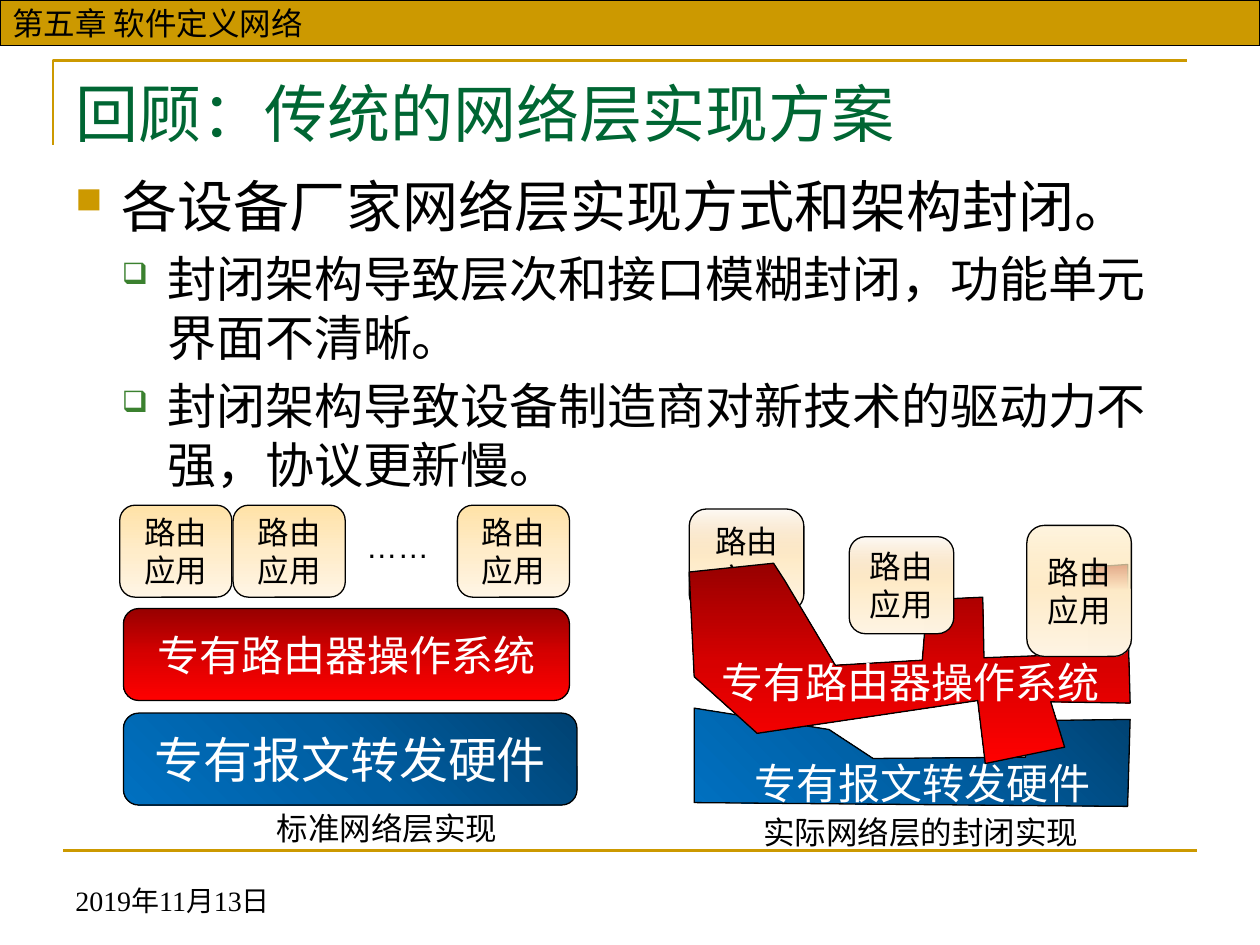
from lxml import etree
from pptx import Presentation, util as u
from pptx.dml.color import RGBColor
from pptx.enum import shapes, text
from pptx.oxml import parse_xml
from pptx.oxml.ns import nsdecls, qn

# Lengths are cells of a grid with 100 columns and 75 rows.
COLUMNS, ROWS = 100, 75
CELL = u.Inches(0.1)
GOLD, GREEN, BLACK, WHITE = "CC9900", "006633", "000000", "FFFFFF"

# Gradients: angle, then (position, colour, opacity) stops, all in percent.
CREAM = [(50, "FFECC9", 100), (100, "FFF5E5", 100)]
APP = (90, [(0, "FFE2A7", 100)] + CREAM)
CLEAR_APP = (90, [(0, "F1C386", 6)] + CREAM)
HALF_CLEAR_APP = (90, [(0, "FFE2A7", 34)] + CREAM)
SYSTEM = (90, [(0, "970000", 100), (50, "D70000", 100), (100, "FF0000", 100)])
HARDWARE = (135, [(0, "004272", 100), (50, "005EA2", 100), (100, "0070C0", 100)])

APP_LABEL = "路由应用"
SYSTEM_LABEL = "专有路由器操作系统"
HARDWARE_LABEL = "专有报文转发硬件"
LEFT, CENTER = text.PP_ALIGN.LEFT, text.PP_ALIGN.CENTER
TOP, MIDDLE, BOTTOM = (text.MSO_ANCHOR.TOP, text.MSO_ANCHOR.MIDDLE,
                       text.MSO_ANCHOR.BOTTOM)


def color(value):
    return RGBColor.from_string(value)


def cells(*values):
    return [round(value * CELL) for value in values]


def inside(box, left, top, width, height):
    """Turn a place within a box into a place on the slide."""
    return box[0] + left, box[1] + top, width, height


def set_line(shape, value, width):
    shape.line.color.rgb = color(value)
    shape.line.width = u.Pt(width)


def set_gradient(shape, gradient):
    angle, stops = gradient
    shape.fill.gradient()
    stop_xml = "".join(
        f'<a:gs pos="{position * 1000}"><a:srgbClr val="{value}">'
        f'<a:alpha val="{opacity * 1000}"/></a:srgbClr></a:gs>'
        for position, value, opacity in stops)
    properties = shape._element.spPr
    properties.replace(properties.find(qn("a:gradFill")), parse_xml(
        f'<a:gradFill rotWithShape="1" {nsdecls("a")}><a:gsLst>{stop_xml}</a:gsLst>'
        f'<a:lin ang="{angle * 60000}" scaled="0"/></a:gradFill>'))


def style_paragraph(paragraph, size, value, font="Arial", align=LEFT):
    paragraph.alignment = align
    for run in paragraph.runs:
        run.font.size = u.Pt(size)
        run.font.name = font
        run.font.color.rgb = color(value)


def write(shape, words, size, value=BLACK, font="Arial", align=CENTER,
          anchor=MIDDLE, wrap=True):
    frame = shape.text_frame
    frame.text = words
    frame.word_wrap = wrap
    frame.vertical_anchor = anchor
    style_paragraph(frame.paragraphs[0], size, value, font, align)


def add_label(slide, box, words, size, value=BLACK, **options):
    label = slide.shapes.add_textbox(*cells(*box))
    write(label, words, size, value, **{"anchor": TOP, "wrap": False, **options})


def add_block(slide, box, words, size, gradient, value=BLACK):
    block = slide.shapes.add_shape(shapes.MSO_SHAPE.ROUNDED_RECTANGLE, *cells(*box))
    block.shadow.inherit = False
    set_gradient(block, gradient)
    set_line(block, BLACK, 0.75)
    write(block, words, size, value)


def add_outline(slide, box, points, close=True):
    """Draw a freeform through points given from the box's corner."""
    places = [cells(box[0] + x, box[1] + y) for x, y in points]
    builder = slide.shapes.build_freeform(*places[0], scale=1.0)
    builder.add_line_segments(places[1:], close=close)
    outline = builder.convert_to_shape()
    outline.shadow.inherit = False
    return outline


def add_polygon(slide, box, points, gradient):
    polygon = add_outline(slide, box, points)
    set_gradient(polygon, gradient)
    set_line(polygon, BLACK, 0.75)


def add_frame(slide, box):
    """Draw the chapter bar, the corner rule and the bottom rule."""
    corner = add_outline(slide, inside(box, 4.2, 4.8, 90, 6.7),
                         [(0, 6.7), (0, 0), (90, 0)], close=False)
    corner.fill.background()
    set_line(corner, GOLD, 1.5)

    left, top, right, bottom = cells(box[0] + 5, box[1] + 67.5,
                                     box[0] + box[2] - 5, box[1] + 67.5)
    rule = slide.shapes.add_connector(shapes.MSO_CONNECTOR.STRAIGHT,
                                      left, top, right, bottom)
    set_line(rule, GOLD, 1.5)
    etree.SubElement(rule._element.spPr, qn("a:effectLst"))

    bar = slide.shapes.add_shape(shapes.MSO_SHAPE.RECTANGLE,
                                 *cells(*inside(box, 0, 0, box[2], 3.6)))
    bar.shadow.inherit = False
    bar.fill.solid()
    bar.fill.fore_color.rgb = color(GOLD)
    set_line(bar, BLACK, 0.75)
    write(bar, "第五章 软件定义网络", 18, align=LEFT, wrap=False)


def add_bullet(paragraph, character, value, percent, margin, indent):
    properties = paragraph._p.get_or_add_pPr()
    properties.set("marL", str(u.Inches(margin)))
    properties.set("indent", str(-u.Inches(indent)))
    for xml in (f'<a:buClr {nsdecls("a")}><a:srgbClr val="{value}"/></a:buClr>',
                f'<a:buSzPct {nsdecls("a")} val="{percent * 1000}"/>',
                f'<a:buChar {nsdecls("a")} char="{character}"/>'):
        properties.append(parse_xml(xml))


def add_body(slide, box):
    main = (32, ("■", GOLD, 65, 0.37, 0.37))
    detail = (28, ("❑", "3B812F", 60, 0.73, 0.36))
    points = [("各设备厂家网络层实现方式和架构封闭。", main),
              ("封闭架构导致层次和接口模糊封闭，功能单元界面不清晰。", detail),
              ("封闭架构导致设备制造商对新技术的驱动力不强，协议更新慢。", detail)]
    frame = slide.shapes.add_textbox(*cells(*box)).text_frame
    frame.word_wrap = True
    frame.text = "\n".join(words for words, _ in points)
    for index, (paragraph, (_, (size, bullet))) in enumerate(
            zip(frame.paragraphs, points)):
        add_bullet(paragraph, *bullet)
        style_paragraph(paragraph, size, BLACK)
        if index:
            paragraph.level = 1
            paragraph.space_before = u.Pt(size * 0.2)


def add_standard_stack(slide, box):
    add_block(slide, inside(box, 0.3, 16.5, 36, 7.3), HARDWARE_LABEL, 28,
              HARDWARE, WHITE)
    add_block(slide, inside(box, 0.3, 8.2, 35.4, 7.3), SYSTEM_LABEL, 24,
              SYSTEM, WHITE)
    for left in (0, 9, 26.8):
        add_block(slide, inside(box, left, 0, 8.9, 7.3), APP_LABEL, 18, APP)
    add_label(slide, inside(box, 18.5, 1.2, 7.1, 4), "……", 18)
    add_label(slide, inside(box, 11.5, 23.6, 19.7, 4), "标准网络层实现", 18, align=LEFT)


def add_closed_stack(slide, box):
    hardware = [(0.4, 15.8), (0.4, 23.3), (34.8, 23.6), (35, 16.7), (26.7, 16.8),
                (26.7, 19.7), (14.6, 19.8), (11.1, 17.5)]
    system = [(0.4, 13.3), (5.4, 17.8), (22.9, 15.2), (23.5, 20.2), (29.8, 18.9),
              (28.7, 15.3), (35, 15.4), (34.8, 8.5), (34.8, 4.4), (31.9, 4.6),
              (31.7, 11.5), (23.4, 11.8), (23.3, 7), (18.9, 7.2), (18.5, 12),
              (11.6, 12.4), (7.6, 5.7), (6.7, 4.3), (0, 5)]
    add_block(slide, inside(box, 0, 0, 9.1, 8.1), APP_LABEL, 18, CLEAR_APP)
    add_polygon(slide, box, hardware, HARDWARE)
    add_label(slide, inside(box, 4.1, 19.2, 28.9, 5), HARDWARE_LABEL, 24, WHITE)
    add_polygon(slide, box, system, SYSTEM)
    add_label(slide, inside(box, 1.4, 11.2, 32.3, 5), SYSTEM_LABEL, 24, WHITE)
    add_block(slide, inside(box, 12.7, 2.2, 8.3, 7.7), APP_LABEL, 18, CLEAR_APP)
    add_block(slide, inside(box, 26.8, 1.3, 8.3, 10.4), APP_LABEL, 18, HALF_CLEAR_APP)
    add_label(slide, inside(box, 4.9, 23.6, 27.3, 4), "实际网络层的封闭实现", 18,
              align=LEFT)


def main():
    presentation = Presentation()
    presentation.slide_width, presentation.slide_height = cells(COLUMNS, ROWS)
    slide = presentation.slides.add_slide(presentation.slide_layouts[6])
    add_frame(slide, (0, 0, COLUMNS, ROWS))
    add_label(slide, (5, 5.4, 90, 7.7), "回顾：传统的网络层实现方案", 36, GREEN,
              font="Calibri", align=LEFT, wrap=True)
    add_body(slide, (5, 13.1, 90, 52))
    add_label(slide, (5, 68.3, 23.3, 5), "2019年11月13日", 16,
              font="Times New Roman", align=LEFT, anchor=BOTTOM, wrap=True)
    add_standard_stack(slide, (9.5, 40.1, 36.3, 27.6))
    add_closed_stack(slide, (54.7, 40.4, 35.1, 27.6))
    presentation.save("out.pptx")


if __name__ == "__main__":
    main()
